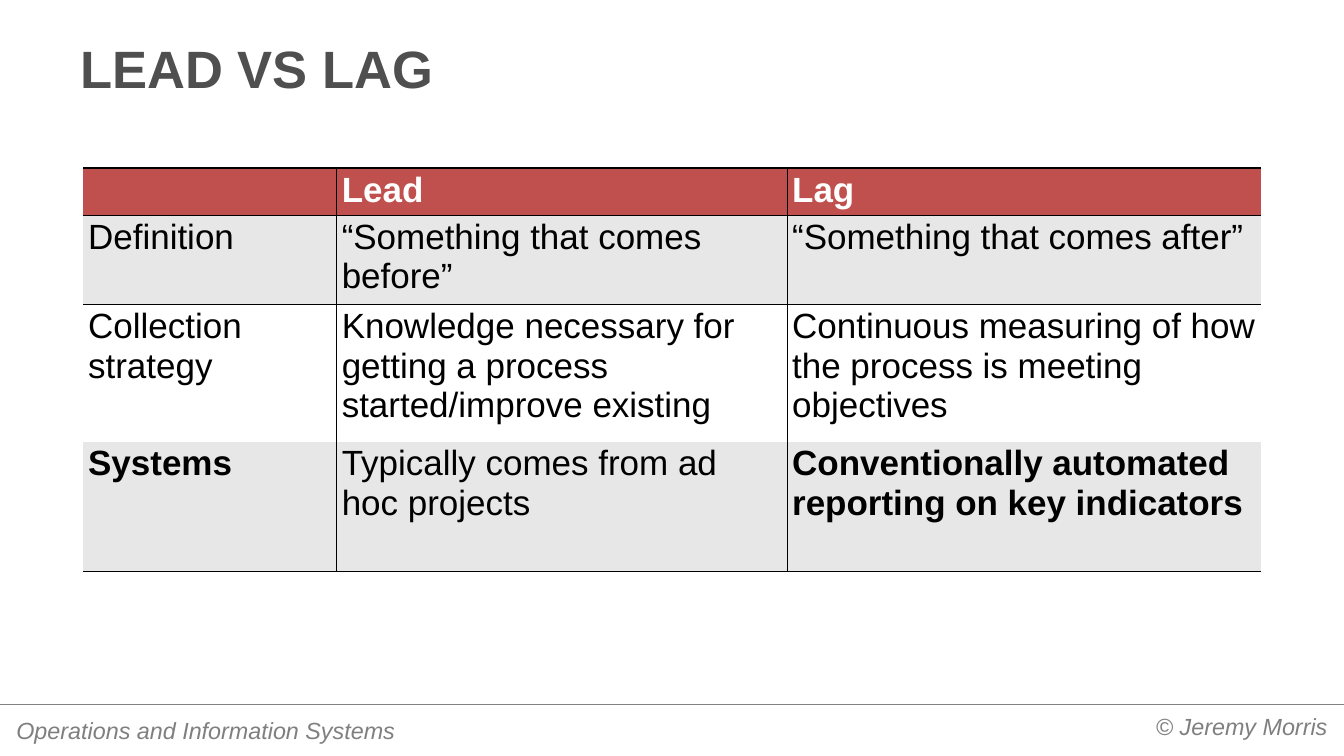
"""Build the "Lead vs lag" comparison slide."""
from lxml import etree
from pptx import Presentation
from pptx import util as u
from pptx.dml.color import RGBColor
from pptx.enum import shapes, text
from pptx.oxml.ns import qn

COLORS = {"title": "4F4F4F", "footer": "7F7F7F", "rule": "808080", "header": "C0504D",
          "band": "E7E7E7", "white": "FFFFFF", "black": "000000"}
NO_STYLE = "{2D5ABB26-0587-4C30-8999-92F81FD0307C}"


def write(frame, content, color, **font_values):
    """Put one formatted paragraph in a text frame."""
    paragraph = frame.paragraphs[0]
    paragraph.text = content
    paragraph.font.color.rgb = RGBColor.from_string(COLORS[color])
    for name, value in {"name": "Arial", **font_values}.items():
        setattr(paragraph.font, name, value)
    return paragraph


def add_borders(cell, widths):
    """Draw black borders, given as points by side, ahead of the cell fill."""
    properties = cell._tc.get_or_add_tcPr()
    for index, (side, width) in enumerate(widths.items()):
        line = etree.Element(qn(f"a:ln{side}"), w=str(u.Pt(width)))
        fill = etree.SubElement(line, qn("a:solidFill"))
        etree.SubElement(fill, qn("a:srgbClr"), val=COLORS["black"])
        properties.insert(index, line)


presentation = Presentation()
presentation.slide_width, presentation.slide_height = u.Cm(65.02), u.Cm(36.58)
slide = presentation.slides.add_slide(presentation.slide_layouts[6])

rule = slide.shapes.add_connector(shapes.MSO_CONNECTOR.STRAIGHT, 0, u.Cm(34.06),
                                  presentation.slide_width, u.Cm(34.06))
rule.line.color.rgb = RGBColor.from_string(COLORS["rule"])
rule.line.width = u.Pt(0.75)
etree.SubElement(rule._element.spPr, qn("a:effectLst"))

footer_font = {"size": u.Pt(32), "italic": True}
title_font = {"size": u.Pt(72), "bold": True}
left, right = text.PP_ALIGN.LEFT, text.PP_ALIGN.RIGHT
top, bottom = text.MSO_ANCHOR.TOP, text.MSO_ANCHOR.BOTTOM
text_boxes = [
    ("© Jeremy Morris", (37.03, 34.24, 27.66, 3.2), 0.46, right, top, "footer", footer_font),
    ("Operations and Information Systems", (0.33, 34.44, 22.23, 1.83), 0.46, left, top,
     "footer", footer_font),
    ("LEAD VS LAG", (3.25, 1.35, 58.52, 3.78), 0.64, left, bottom, "title", title_font),
]
for content, place, inset, alignment, anchor, color, font_values in text_boxes:
    frame = slide.shapes.add_textbox(*map(u.Cm, place)).text_frame
    frame_values = {"word_wrap": True, "vertical_anchor": anchor,
                    "margin_left": u.Cm(inset), "margin_right": u.Cm(inset),
                    "margin_top": u.Cm(inset / 2), "margin_bottom": u.Cm(inset / 2)}
    for name, value in frame_values.items():
        setattr(frame, name, value)
    write(frame, content, color, **font_values).alignment = alignment

rows = [
    ("", "Lead", "Lag"),
    ("Definition", "“Something that comes before”", "“Something that comes after”"),
    ("Collection strategy", "Knowledge necessary for getting a process started/improve existing",
     "Continuous measuring of how the process is meeting objectives"),
    ("Systems", "Typically comes from ad hoc projects",
     "Conventionally automated reporting on key indicators"),
]
bold_cells = {(0, 1), (0, 2), (3, 0), (3, 2)}
row_fills = ["header", "band", "white", "band"]
column_widths = [12.27, 21.79, 22.93]
row_heights = [2.29, 4.27, 6.63, 6.27]
last_row, last_column = len(rows) - 1, len(column_widths) - 1

table = slide.shapes.add_table(len(rows), len(column_widths), u.Cm(4.01), u.Cm(8.13),
                               u.Cm(sum(column_widths)), u.Cm(sum(row_heights))).table
table.first_row = table.horz_banding = False
table._tbl.tblPr.find(qn("a:tableStyleId")).text = NO_STYLE
for column, width in zip(table.columns, column_widths):
    column.width = u.Cm(width)
for row, height in zip(table.rows, row_heights):
    row.height = u.Cm(height)

for row_index, contents in enumerate(rows):
    for column_index, content in enumerate(contents):
        cell = table.cell(row_index, column_index)
        cell.fill.solid()
        cell.fill.fore_color.rgb = RGBColor.from_string(COLORS[row_fills[row_index]])
        write(cell.text_frame, content, "black" if row_index else "white", size=u.Pt(48),
              bold=(row_index, column_index) in bold_cells)
        borders = {}
        if column_index > 0:
            borders["L"] = 1
        if column_index < last_column:
            borders["R"] = 1
        if row_index <= 1:
            borders["T"] = 2
        if row_index in (0, last_row):
            borders["B"] = 2
        add_borders(cell, borders)

presentation.save("out.pptx")
